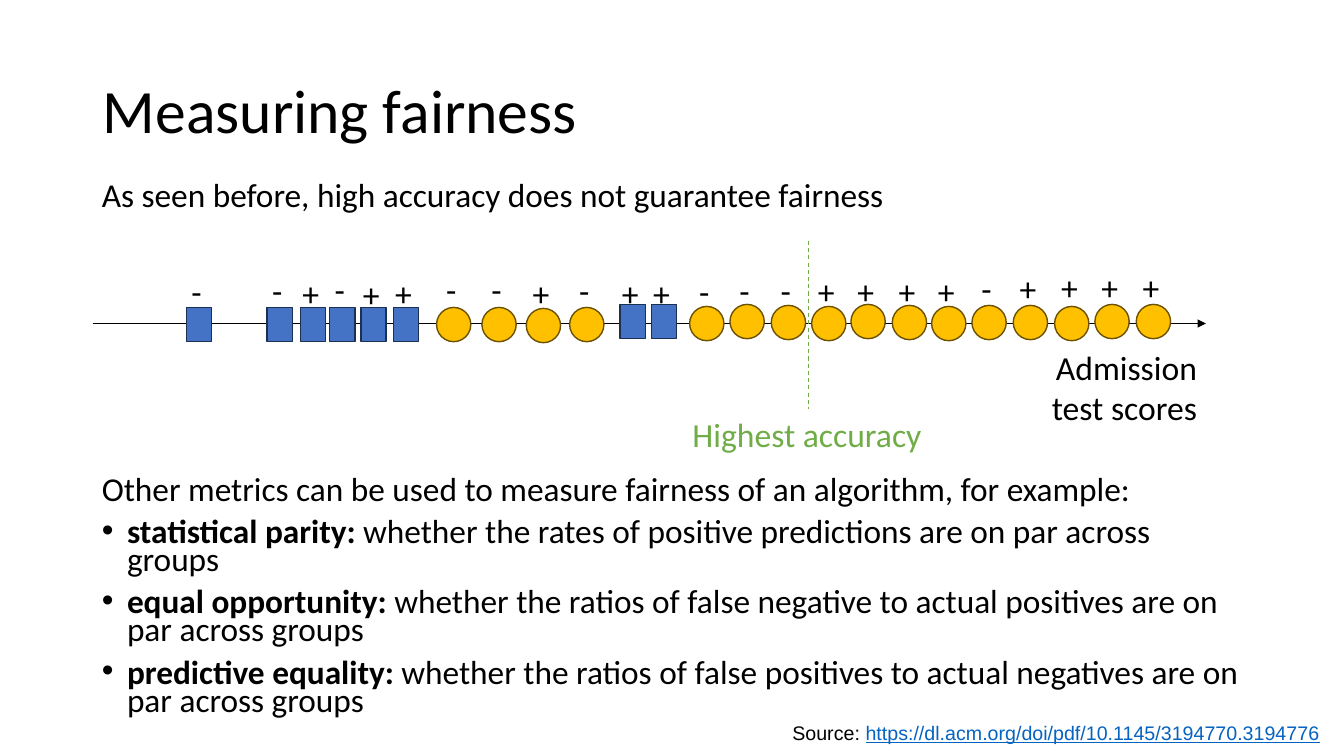
from dataclasses import dataclass

from lxml.etree import SubElement
from pptx import Presentation
from pptx.dml.color import RGBColor
from pptx.enum.dml import MSO_LINE_DASH_STYLE as Dash
from pptx.enum.shapes import MSO_CONNECTOR as Connector, MSO_SHAPE as Shape
from pptx.enum.text import MSO_ANCHOR as Anchor, MSO_AUTO_SIZE as AutoSize, PP_ALIGN as Align
from pptx.oxml.ns import qn
from pptx.util import Inches, Pt


@dataclass(frozen=True)
class Theme:
    """Colours, fonts and type sizes of the slide."""
    font: str = "Calibri"
    source_font: str = "Arial"
    text: str = "000000"
    square: str = "4472C4"
    square_edge: str = "1C3052"
    circle: str = "FFC000"
    circle_edge: str = "6B5100"
    accuracy: str = "70AD47"
    link: str = "0563C1"
    title_size: float = 44
    label_size: float = 24
    body_size: float = 23.8
    source_size: float = 14


THEME = Theme()

GROUPS = {
    "square": (Shape.RECTANGLE, 0.25, THEME.square, THEME.square_edge),
    "circle": (Shape.OVAL, 0.34, THEME.circle, THEME.circle_edge),
}
SYMBOL_HEIGHT = 0.34
MARK_WIDTHS = {"+": 0.37, "-": 0.31}
MARK_SHIFT = -0.02

# group, left, top, outcome, top of outcome
APPLICANTS = [
    ("square", 1.85, 3.05, "-", 2.64),
    ("square", 2.65, 3.05, "-", 2.63),
    ("square", 2.98, 3.05, "+", 2.66),
    ("square", 3.27, 3.05, "-", 2.62),
    ("square", 3.58, 3.05, "+", 2.67),
    ("square", 3.9, 3.05, "+", 2.66),
    ("circle", 4.33, 3.05, "-", 2.62),
    ("circle", 4.78, 3.05, "-", 2.62),
    ("circle", 5.22, 3.06, "+", 2.66),
    ("circle", 5.65, 3.05, "-", 2.63),
    ("square", 6.15, 3.02, "+", 2.66),
    ("square", 6.46, 3.02, "+", 2.66),
    ("circle", 6.84, 3.04, "-", 2.64),
    ("circle", 7.24, 3.02, "-", 2.63),
    ("circle", 7.65, 3.03, "-", 2.63),
    ("circle", 8.05, 3.04, "+", 2.64),
    ("circle", 8.44, 3.02, "+", 2.64),
    ("circle", 8.85, 3.03, "+", 2.64),
    ("circle", 9.24, 3.04, "+", 2.64),
    ("circle", 9.64, 3.03, "-", 2.61),
    ("circle", 10.05, 3.03, "+", 2.61),
    ("circle", 10.46, 3.04, "+", 2.6),
    ("circle", 10.86, 3.02, "+", 2.6),
    ("circle", 11.27, 3.02, "+", 2.6),
]

INTRO = "As seen before, high accuracy does not guarantee fairness"
METRICS_LEAD = "Other metrics can be used to measure fairness of an algorithm, for example:"
METRICS = [
    ("statistical parity: ",
     "whether the rates of positive predictions are on par across groups"),
    ("equal opportunity: ",
     "whether the ratios of false negative to actual positives are on par across groups"),
    ("predictive equality: ",
     "whether the ratios of false positives to actual negatives are on par across groups"),
]
SOURCE_URL = "https://dl.acm.org/doi/pdf/10.1145/3194770.3194776"


def add_run(paragraph, text, size, color=THEME.text, font=THEME.font, bold=False, underline=False):
    """Append one formatted run."""
    run = paragraph.add_run()
    run.text = text
    run.font.name = font
    run.font.size = Pt(size)
    run.font.bold = bold
    run.font.underline = underline
    run.font.color.rgb = RGBColor.from_string(color)


def place(placeholder, left, top, width, height, anchor):
    """Move a placeholder and fix its text frame."""
    placeholder.left, placeholder.top = Inches(left), Inches(top)
    placeholder.width, placeholder.height = Inches(width), Inches(height)
    frame = placeholder.text_frame
    frame.word_wrap = True
    frame.auto_size = AutoSize.NONE
    frame.vertical_anchor = anchor
    return frame


def set_bullet(paragraph, bulleted):
    """Give a paragraph a hanging bullet, or none."""
    properties = paragraph._p.get_or_add_pPr()
    indent = Inches(0.25) if bulleted else 0
    properties.set("marL", str(indent))
    properties.set("indent", str(-indent))
    if bulleted:
        SubElement(properties, qn("a:buFont")).set("typeface", "Arial")
        SubElement(properties, qn("a:buChar")).set("char", "•")
    else:
        SubElement(properties, qn("a:buNone"))


def add_body_paragraph(paragraph, parts, space_before, bulleted=False):
    """Fill a body paragraph with (text, bold) parts."""
    set_bullet(paragraph, bulleted)
    paragraph.alignment = Align.LEFT
    paragraph.line_spacing = 0.7
    paragraph.space_before = Pt(space_before)
    for text, bold in parts:
        add_run(paragraph, text, THEME.body_size, bold=bold)


def add_label(slide, left, top, width, height, align=Align.LEFT):
    """Add an empty text box and return it with its paragraph."""
    label = slide.shapes.add_textbox(Inches(left), Inches(top), Inches(width), Inches(height))
    label.text_frame.word_wrap = True
    paragraph = label.text_frame.paragraphs[0]
    paragraph.alignment = align
    return label, paragraph


def add_line(slide, start, end, color, width):
    """Add a straight line without a shadow."""
    line = slide.shapes.add_connector(Connector.STRAIGHT, *map(Inches, start + end))
    line.line.color.rgb = RGBColor.from_string(color)
    line.line.width = Pt(width)
    SubElement(line._element.spPr, qn("a:effectLst"))
    return line


def add_applicant(slide, group, left, top, outcome, outcome_top):
    """Add an applicant's symbol with the outcome above it."""
    preset, width, fill, edge = GROUPS[group]
    symbol = slide.shapes.add_shape(
        preset, Inches(left), Inches(top), Inches(width), Inches(SYMBOL_HEIGHT))
    symbol.shadow.inherit = False
    symbol.fill.solid()
    symbol.fill.fore_color.rgb = RGBColor.from_string(fill)
    symbol.line.color.rgb = RGBColor.from_string(edge)
    symbol.line.width = Pt(1)
    mark_width = MARK_WIDTHS[outcome]
    mark_left = left + (width - mark_width) / 2 + MARK_SHIFT
    _, mark = add_label(slide, mark_left, outcome_top, mark_width, 0.5)
    add_run(mark, outcome, THEME.label_size)


def main():
    """Build and save the slide."""
    deck = Presentation()
    deck.slide_width, deck.slide_height = Inches(13.33), Inches(7.5)
    slide = deck.slides.add_slide(deck.slide_layouts[1])
    title, body = slide.placeholders

    heading = place(title, 0.92, 0.4, 11.5, 1.45, Anchor.MIDDLE).paragraphs[0]
    heading.alignment = Align.LEFT
    heading.line_spacing = 0.9
    add_run(heading, "Measuring fairness", THEME.title_size)

    content = place(body, 0.91, 1.79, 11.5, 5.5, Anchor.TOP)
    add_body_paragraph(content.paragraphs[0], [(INTRO, False)], 0)
    add_body_paragraph(content.add_paragraph(), [(METRICS_LEAD, False)], 190)
    for name, meaning in METRICS:
        add_body_paragraph(content.add_paragraph(), [(name, True), (meaning, False)], 10, True)

    score_axis = add_line(slide, (0.92, 3.21), (11.96, 3.21), THEME.text, 1)
    SubElement(score_axis.line._get_or_add_ln(), qn("a:tailEnd")).set("type", "triangle")
    _, axis_name = add_label(slide, 9.83, 3.39, 2.14, 0.91, Align.RIGHT)
    add_run(axis_name, "Admission test scores", THEME.label_size)

    for applicant in APPLICANTS:
        add_applicant(slide, *applicant)

    threshold = add_line(slide, (8.02, 2.39), (8.02, 4.06), THEME.accuracy, 0.75)
    threshold.line.dash_style = Dash.DASH
    threshold_label, threshold_name = add_label(slide, 6.77, 4.06, 2.5, 0.5)
    add_run(threshold_name, "Highest accuracy", THEME.label_size, THEME.accuracy)
    threshold.end_connect(threshold_label, 0)

    _, source = add_label(slide, 6.46, 7.1, 6.73, 0.34, Align.RIGHT)
    add_run(source, "Source: ", THEME.source_size, font=THEME.source_font)
    add_run(source, SOURCE_URL, THEME.source_size, THEME.link, THEME.source_font, underline=True)

    deck.save("out.pptx")


if __name__ == "__main__":
    main()
